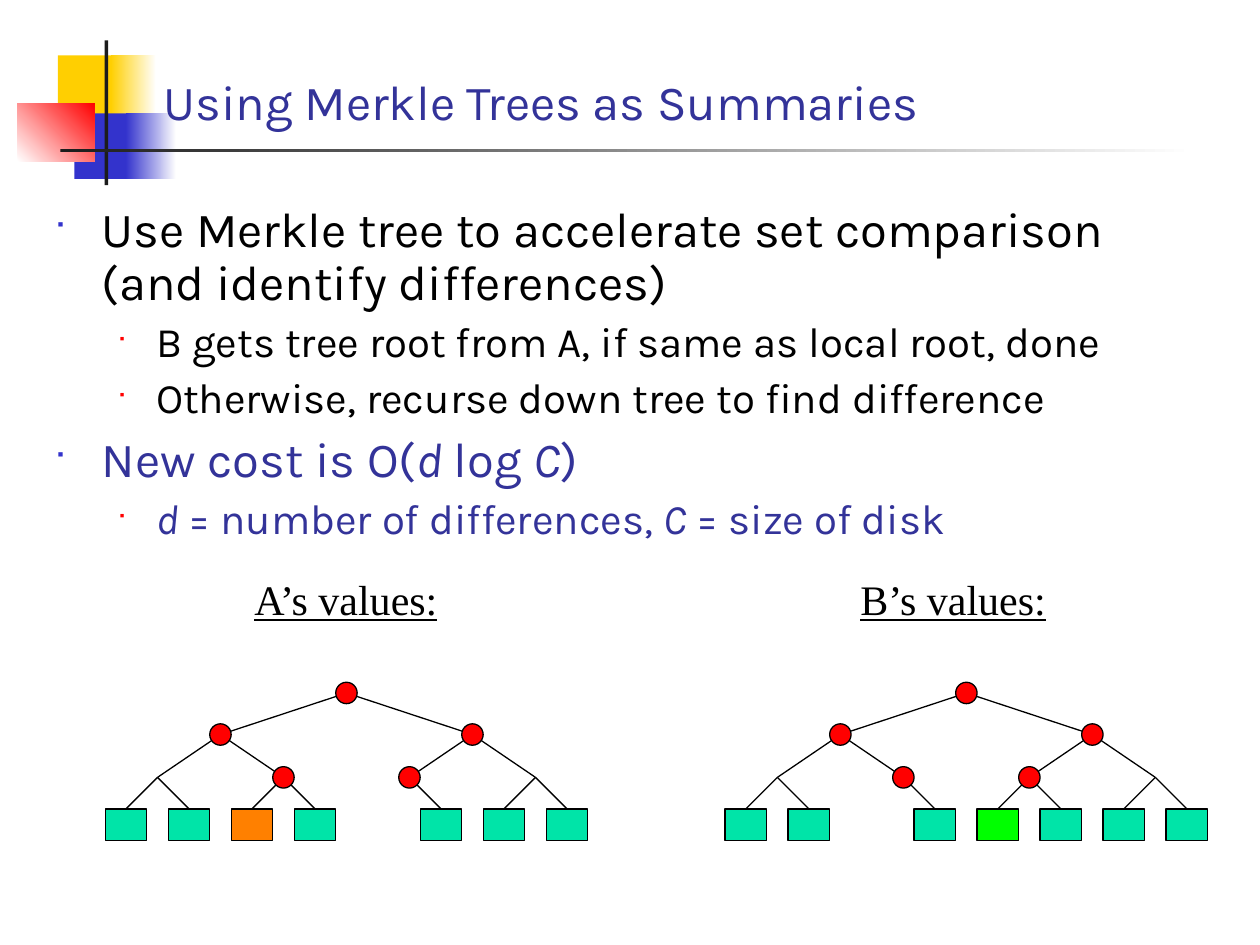
"""Builds a slide on using Merkle trees as summaries for set comparison."""
import lxml.etree
import pptx
import pptx.dml.color
import pptx.enum.shapes
import pptx.enum.text
import pptx.oxml.ns
import pptx.util

Inches = pptx.util.Inches
Pt = pptx.util.Pt
Shape = pptx.enum.shapes.MSO_SHAPE
Anchor = pptx.enum.text.MSO_ANCHOR
AutoSize = pptx.enum.text.MSO_AUTO_SIZE

BLACK, WHITE, CHARCOAL = "000000", "FFFFFF", "1C1C1C"
YELLOW, BLUE, RED, NAVY = "FFCF01", "3333CC", "FF0000", "333399"
TEAL, ORANGE, GREEN = "00E4A8", "FF8000", "00FF00"

LEVELS = [
    dict(size=28, indent=0.38, hanging=0.38, before=7, bullet=BLUE, percent=60),
    dict(size=24, indent=0.81, hanging=0.31, before=6, bullet=RED, percent=55),
]
BULLETS = [
    (0, BLACK, [("Use Merkle tree to accelerate set comparison (and identify differences)", False)]),
    (1, BLACK, [("B gets tree root from A, if same as local root, done", False)]),
    (1, BLACK, [("Otherwise, recurse down tree to find difference", False)]),
    (0, NAVY, [("New cost is O(", False), ("d", True), (" log ", False), ("C", True), (")", False)]),
    (1, NAVY, [("d", True), (" = number of differences, ", False), ("C", True),
               (" = size of disk", False)]),
]
ROOT_Y, BRANCH_Y, TWIG_Y, LEAF_Y = 5.5, 5.83, 6.17, 6.42
LEAF_STEP = 0.5


def colour(value):
    return pptx.dml.color.RGBColor.from_string(value)


class Painter:
    """Holds the style and the current slide, and draws each kind of element."""

    font = "Karla"
    label_font = "Times New Roman"
    line_width = 0.75

    def __init__(self, page):
        self.page = page

    def shape(self, kind, left, top, width, height, fill, outlined=False):
        shape = self.page.shapes.add_shape(
            kind, Inches(left), Inches(top), Inches(width), Inches(height))
        shape.shadow.inherit = False
        shape.fill.solid()
        shape.fill.fore_color.rgb = colour(fill)
        if outlined:
            shape.line.color.rgb = colour(BLACK)
            shape.line.width = Pt(self.line_width)
        else:
            shape.line.fill.background()
        return shape

    def fade(self, left, top, width, height, start, end, angle=0):
        shape = self.shape(Shape.RECTANGLE, left, top, width, height, start)
        shape.fill.gradient()
        shape.fill.gradient_angle = angle
        for stop, position, value in zip(shape.fill.gradient_stops, (0, 1), (start, end)):
            stop.position = position
            stop.color.rgb = colour(value)

    def edge(self, start, end):
        line = self.page.shapes.add_connector(
            pptx.enum.shapes.MSO_CONNECTOR.STRAIGHT, *map(Inches, start + end))
        line.line.color.rgb = colour(BLACK)
        line.line.width = Pt(self.line_width)
        properties = line._element.spPr
        lxml.etree.SubElement(properties, pptx.oxml.ns.qn("a:effectLst"))

    def node(self, centre, size=0.17):
        x, y = centre
        self.shape(Shape.OVAL, x - size / 2, y - size / 2, size, size, RED, True)

    def leaf(self, x, fill, width=0.33, height=0.25):
        self.shape(Shape.RECTANGLE, x - width / 2, LEAF_Y, width, height, fill, True)

    def box(self, left, top, width, height, wrap=True):
        box = self.page.shapes.add_textbox(
            Inches(left), Inches(top), Inches(width), Inches(height))
        box.text_frame.word_wrap = wrap
        return box.text_frame

    def span(self, para, text, size, value, italic=False, font=None):
        span = para.add_run()
        span.text = text
        span.font.name = font or self.font
        span.font.size = Pt(size)
        span.font.color.rgb = colour(value)
        span.font.italic = italic
        return span

    def title(self, text):
        frame = self.box(1.2, 0.16, 9, 0.92)
        frame.vertical_anchor = Anchor.BOTTOM
        self.span(frame.paragraphs[0], text, 28, NAVY)

    def label(self, text, left, width):
        frame = self.box(left, 4.5, width, 0.5, wrap=False)
        frame.auto_size = AutoSize.SHAPE_TO_FIT_TEXT
        span = self.span(frame.paragraphs[0], text, 24, BLACK, font=self.label_font)
        span.font.underline = True

    def bullet(self, para, level):
        properties = para._p.get_or_add_pPr()
        properties.set("marL", str(Inches(level["indent"])))
        properties.set("indent", str(-Inches(level["hanging"])))
        qn, add = pptx.oxml.ns.qn, lxml.etree.SubElement
        tint = add(properties, qn("a:buClr"))
        add(tint, qn("a:srgbClr"), val=level["bullet"])
        add(properties, qn("a:buSzPct"), val=str(level["percent"] * 1000))
        add(properties, qn("a:buFont"), typeface="Wingdings")
        add(properties, qn("a:buChar"), char="■")

    def outline(self, items):
        frame = self.box(0.33, 1.58, 9.42, 2.92)
        for index, (depth, value, spans) in enumerate(items):
            para = frame.add_paragraph() if index else frame.paragraphs[0]
            level = LEVELS[depth]
            para.level = depth
            self.bullet(para, level)
            para.line_spacing = 0.9
            if index:
                para.space_before = Pt(level["before"])
            for text, italic in spans:
                self.span(para, text, level["size"], value, italic)

    def tree(self, left, leaves):
        root = (left + 3.5 * LEAF_STEP, ROOT_Y)
        branches = [(left + (1.5 + 4 * i) * LEAF_STEP, BRANCH_Y) for i in range(2)]
        twigs = [(left + (0.5 + 2 * i) * LEAF_STEP, TWIG_Y) for i in range(4)]
        for index, fill in enumerate(leaves):
            if fill:
                x = left + index * LEAF_STEP
                self.leaf(x, fill)
                self.edge((x, LEAF_Y), twigs[index // 2])
        for index, twig in enumerate(twigs):
            self.edge(branches[index // 2], twig)
        for branch in branches:
            self.edge(branch, root)
        for centre in [root, *branches, *twigs[1:3]]:
            self.node(centre)

    def ornament(self):
        self.shape(Shape.RECTANGLE, 0.46, 0.44, 0.48, 0.52, YELLOW)
        self.fade(0.88, 0.44, 0.36, 0.52, YELLOW, WHITE)
        self.shape(Shape.RECTANGLE, 0.59, 0.9, 0.46, 0.52, BLUE)
        self.fade(1, 0.9, 0.4, 0.52, BLUE, WHITE)
        self.fade(0.14, 0.82, 0.61, 0.46, WHITE, RED, angle=45)
        self.shape(Shape.RECTANGLE, 0.83, 0.32, 0.03, 1.15, CHARCOAL)
        self.fade(0.48, 1.18, 9, 0.03, CHARCOAL, WHITE)


def main():
    deck = pptx.Presentation()
    deck.slide_width, deck.slide_height = Inches(10), Inches(7.5)
    painter = Painter(deck.slides.add_slide(deck.slide_layouts[6]))
    painter.ornament()
    painter.title("Using Merkle Trees as Summaries")
    painter.outline(BULLETS)
    painter.label("A’s values:", 1.92, 1.71)
    painter.label("B’s values:", 6.73, 1.69)
    painter.tree(1, [TEAL, TEAL, ORANGE, TEAL, None, TEAL, TEAL, TEAL])
    painter.tree(5.92, [TEAL, TEAL, None, TEAL, GREEN, TEAL, TEAL, TEAL])
    deck.save("out.pptx")


if __name__ == "__main__":
    main()
